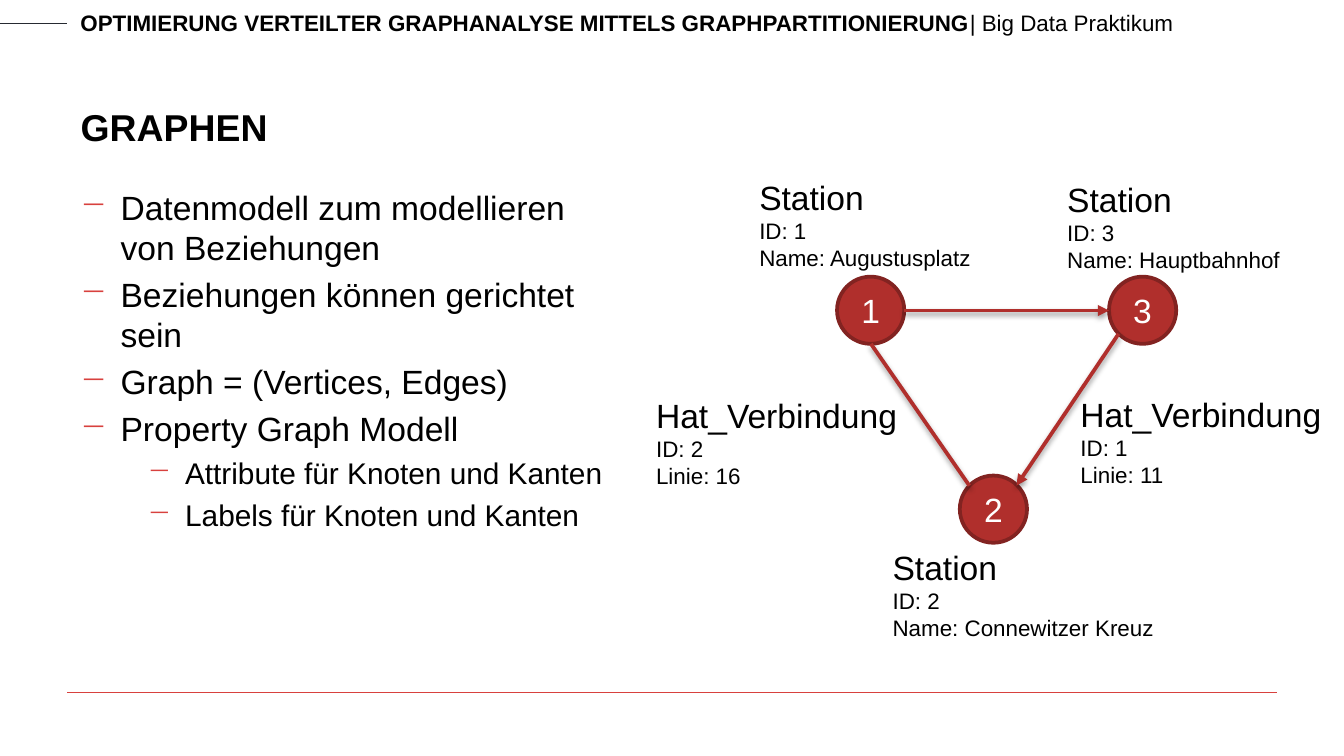
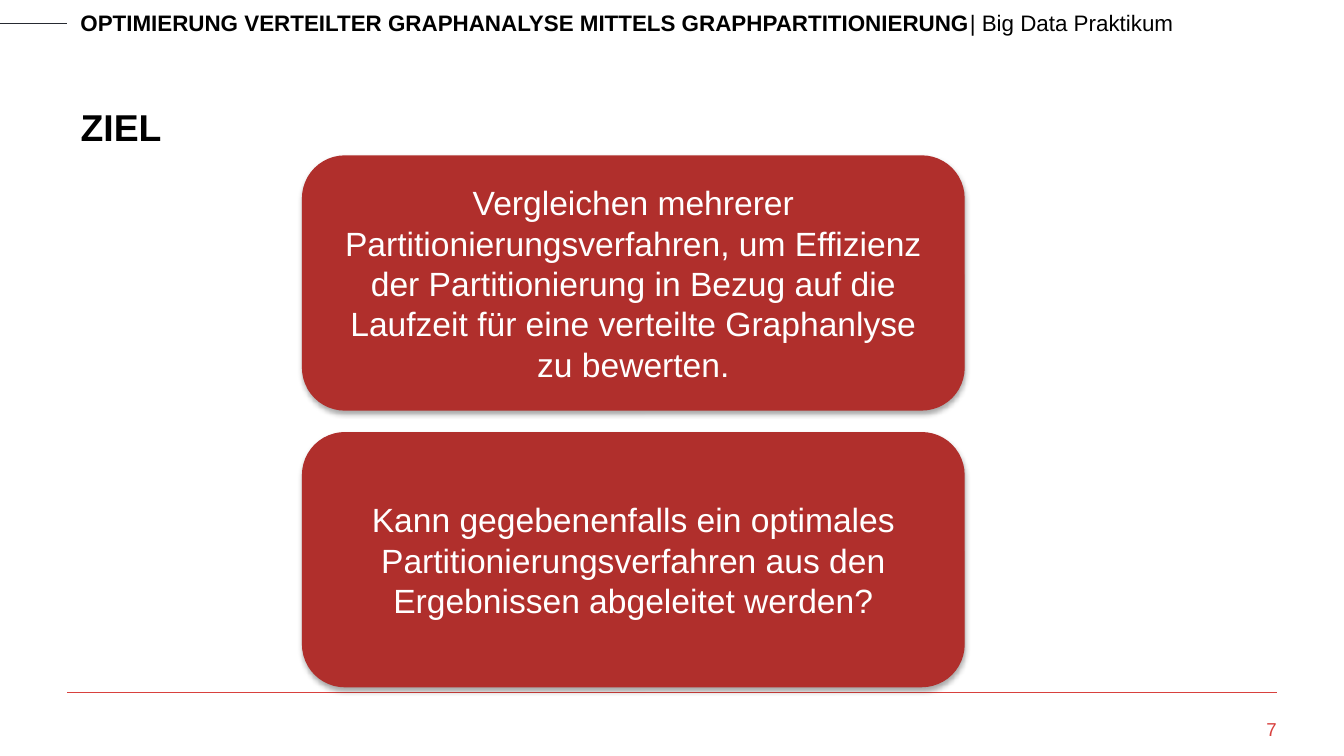
from lxml.etree import SubElement
from pptx import Presentation
from pptx.dml.color import RGBColor
from pptx.enum.shapes import MSO_CONNECTOR, MSO_SHAPE
from pptx.enum.text import MSO_ANCHOR, PP_ALIGN
from pptx.oxml.ns import qn
from pptx.util import Cm, Pt

FONT = "Arial"
BLACK, WHITE, DARK = "000000", "FFFFFF", "262A31"
RED, BRICK, WINE = "D8413E", "B02F2C", "822321"


def style(font, size, color, bold=False):
    font.name, font.size, font.bold = FONT, Pt(size), bold
    font.color.rgb = RGBColor.from_string(color)


def outline(shape, color, width, shade=0, drop=0):
    """Set the line, and a soft shadow of the given opacity in percent."""
    shape.line.color.rgb = RGBColor.from_string(color)
    shape.line.width = Pt(width)
    props = shape._element.spPr
    effects = SubElement(props, qn("a:effectLst"))
    if shade:
        shadow = SubElement(effects, qn("a:outerShdw"), blurRad=str(Pt(3.1)),
                            dist=str(Pt(drop)), dir="5400000", rotWithShape="0")
        tone = SubElement(shadow, qn("a:srgbClr"), val=BLACK)
        SubElement(tone, qn("a:alpha"), val=str(shade * 1000))


deck = Presentation()
deck.slide_width, deck.slide_height = Cm(25.4), Cm(14.29)

# Shared frame: rules, running head and title
slides = []
for name in ("GRAPHEN", "ZIEL"):
    slide = deck.slides.add_slide(deck.slide_layouts[5])
    slides.append(slide)

    for left, right, y, color in ((0, 1.27, 0.44, DARK), (1.27, 24.13, 13.09, RED)):
        rule = slide.shapes.add_connector(
            MSO_CONNECTOR.STRAIGHT, Cm(left), Cm(y), Cm(right), Cm(y))
        outline(rule, color, 0.25)

    head = slide.shapes.add_textbox(Cm(1.27), Cm(0.05), Cm(22.86), Cm(0.76))
    head.text_frame.word_wrap = True
    para = head.text_frame.paragraphs[0]
    for text, bold in (
            ("OPTIMIERUNG VERTEILTER GRAPHANALYSE MITTELS GRAPHPARTITIONIERUNG", True),
            ("| Big Data Praktikum", False)):
        run = para.add_run()
        run.text = text
        style(run.font, 12, BLACK, bold)

    title = slide.shapes.title
    title.left, title.top = Cm(1.27), Cm(0.84)
    title.width, title.height = Cm(22.89), Cm(2.11)
    title.text_frame.text = name
    title.text_frame.vertical_anchor = MSO_ANCHOR.BOTTOM
    para = title.text_frame.paragraphs[0]
    para.alignment = PP_ALIGN.LEFT
    style(para.font, 20, BLACK, True)

graph, goal = slides

# Bullet list
points = (
    ("Datenmodell zum modellieren von Beziehungen", 0),
    ("Beziehungen können gerichtet sein", 0),
    ("Graph = (Vertices, Edges)", 0),
    ("Property Graph Modell", 0),
    ("Attribute für Knoten und Kanten", 1),
    ("Labels für Knoten und Kanten", 1),
)
levels = ((18, 0.76, 0.76), (16, 1.98, 0.71))  # size, margin, hanging indent
body = graph.shapes.add_textbox(Cm(1.27), Cm(3.4), Cm(10.69), Cm(9.4))
frame = body.text_frame
frame.word_wrap = True
for i, (text, level) in enumerate(points):
    size, margin, hang = levels[level]
    para = frame.add_paragraph() if i else frame.paragraphs[0]
    para.text, para.level = text, level
    props = para._p.get_or_add_pPr()
    props.set("marL", str(Cm(margin)))
    props.set("indent", str(-Cm(hang)))
    tone = SubElement(props, qn("a:buClr"))
    SubElement(tone, qn("a:srgbClr"), val=RED)
    SubElement(props, qn("a:buChar"), char="−")
    para.space_before = Pt(size * 0.2)
    style(para.font, size, BLACK)

# Graph nodes
for text, x, y in (("1", 15.82, 5.23), ("3", 20.96, 5.23), ("2", 18.14, 8.99)):
    node = graph.shapes.add_shape(
        MSO_SHAPE.FLOWCHART_CONNECTOR, Cm(x), Cm(y), Cm(1.27), Cm(1.27))
    node.fill.solid()
    node.fill.fore_color.rgb = RGBColor.from_string(BRICK)
    outline(node, WINE, 2)
    node.text_frame.text = text
    node.text_frame.vertical_anchor = MSO_ANCHOR.MIDDLE
    para = node.text_frame.paragraphs[0]
    para.alignment = PP_ALIGN.CENTER
    style(para.font, 18, WHITE)

# Graph edges
for *ends, arrow in (
        (16.46, 6.5, 18.32, 9.18, False),
        (17.09, 5.87, 20.96, 5.87, True),
        (21.14, 6.31, 19.21, 9.18, True)):
    edge = graph.shapes.add_connector(MSO_CONNECTOR.STRAIGHT, *map(Cm, ends))
    outline(edge, BRICK, 2, 38, 1.6)
    if arrow:
        SubElement(edge._element.spPr.find(qn("a:ln")), qn("a:tailEnd"), type="triangle")

# Labels of nodes and edges
for x, y, width, lines in (
        (14.35, 3.35, 4.32, ("Station", "ID: 1", "Name: Augustusplatz")),
        (20.17, 3.38, 4.32, ("Station", "ID: 3", "Name: Hauptbahnhof")),
        (16.87, 10.34, 5.66, ("Station", "ID: 2", "Name: Connewitzer Kreuz")),
        (20.42, 7.44, 4.65, ("Hat_Verbindung", "ID: 1", "Linie: 11")),
        (12.4, 7.47, 4.65, ("Hat_Verbindung", "ID: 2", "Linie: 16"))):
    label = graph.shapes.add_textbox(Cm(x), Cm(y), Cm(width), Cm(1.8))
    frame = label.text_frame
    frame.word_wrap = True
    frame.margin_left = frame.margin_right = frame.margin_top = frame.margin_bottom = 0
    frame.text = "\n".join(lines)
    for i, para in enumerate(frame.paragraphs):
        style(para.font, 12 if i else 18, BLACK)

# Page number
page = goal.shapes.add_textbox(Cm(22.07), Cm(13.56), Cm(2.06), Cm(0.56))
frame = page.text_frame
frame.word_wrap = True
frame.margin_left = frame.margin_right = frame.margin_top = frame.margin_bottom = 0
frame.text = "7"
frame.paragraphs[0].alignment = PP_ALIGN.RIGHT
style(frame.paragraphs[0].font, 10, RED)

# Goal boxes
aims = (
    "Vergleichen mehrerer Partitionierungsverfahren, um Effizienz der Partitionierung "
    "in Bezug auf die Laufzeit für eine verteilte Graphanlyse zu bewerten.",
    "Kann gegebenenfalls ein optimales Partitionierungsverfahren aus den Ergebnissen "
    "abgeleitet werden?",
)
for i, text in enumerate(aims):
    box = goal.shapes.add_shape(
        MSO_SHAPE.ROUNDED_RECTANGLE, Cm(5.72), Cm(2.95 + i * 5.23), Cm(12.5), Cm(4.8))
    box.fill.solid()
    box.fill.fore_color.rgb = RGBColor.from_string(BRICK)
    outline(box, BRICK, 0.75, 35, 1.8)
    frame = box.text_frame
    frame.word_wrap = True
    frame.vertical_anchor = MSO_ANCHOR.MIDDLE
    frame.text = text
    frame.paragraphs[0].alignment = PP_ALIGN.CENTER
    style(frame.paragraphs[0].font, 18, WHITE)

deck.save("out.pptx")
